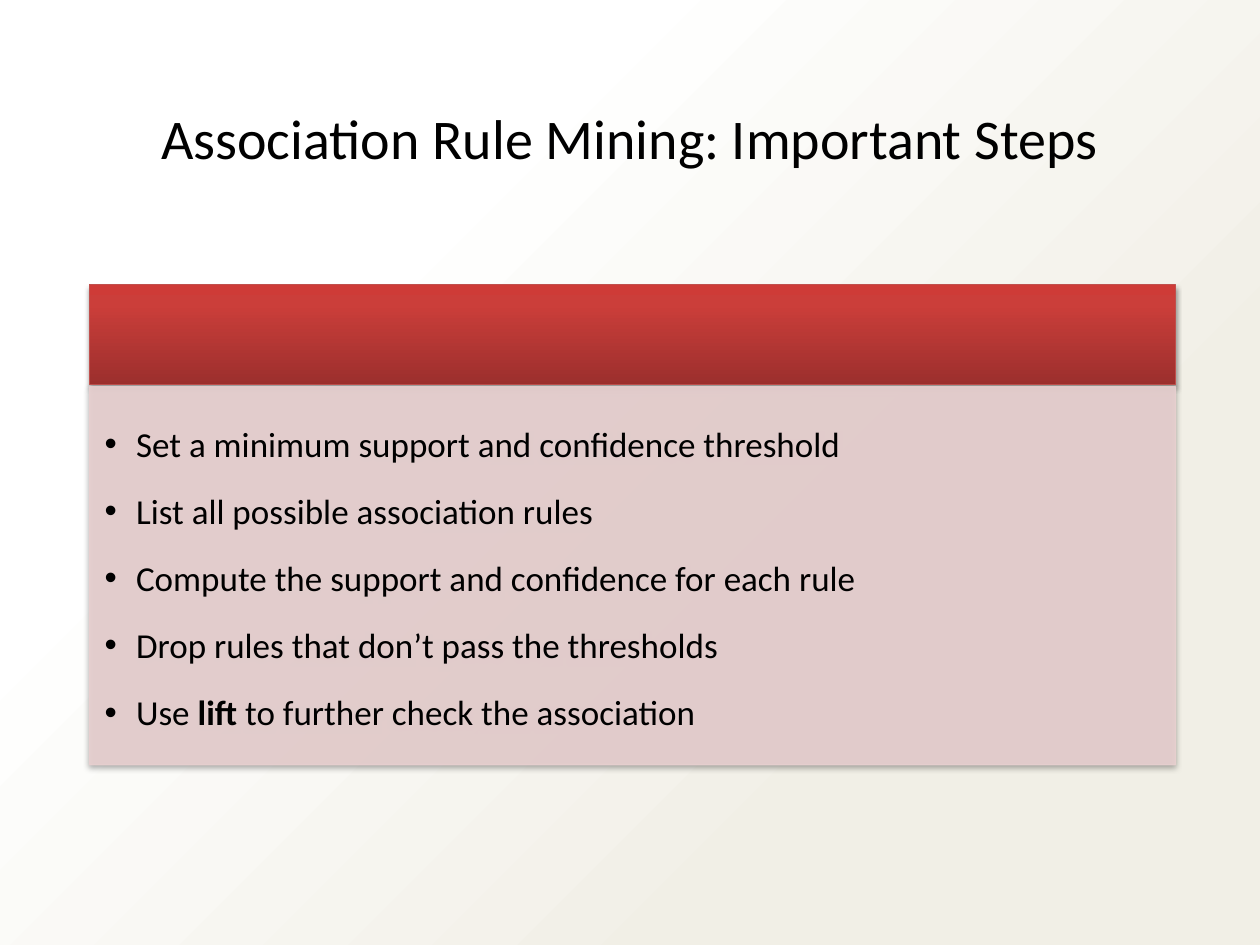
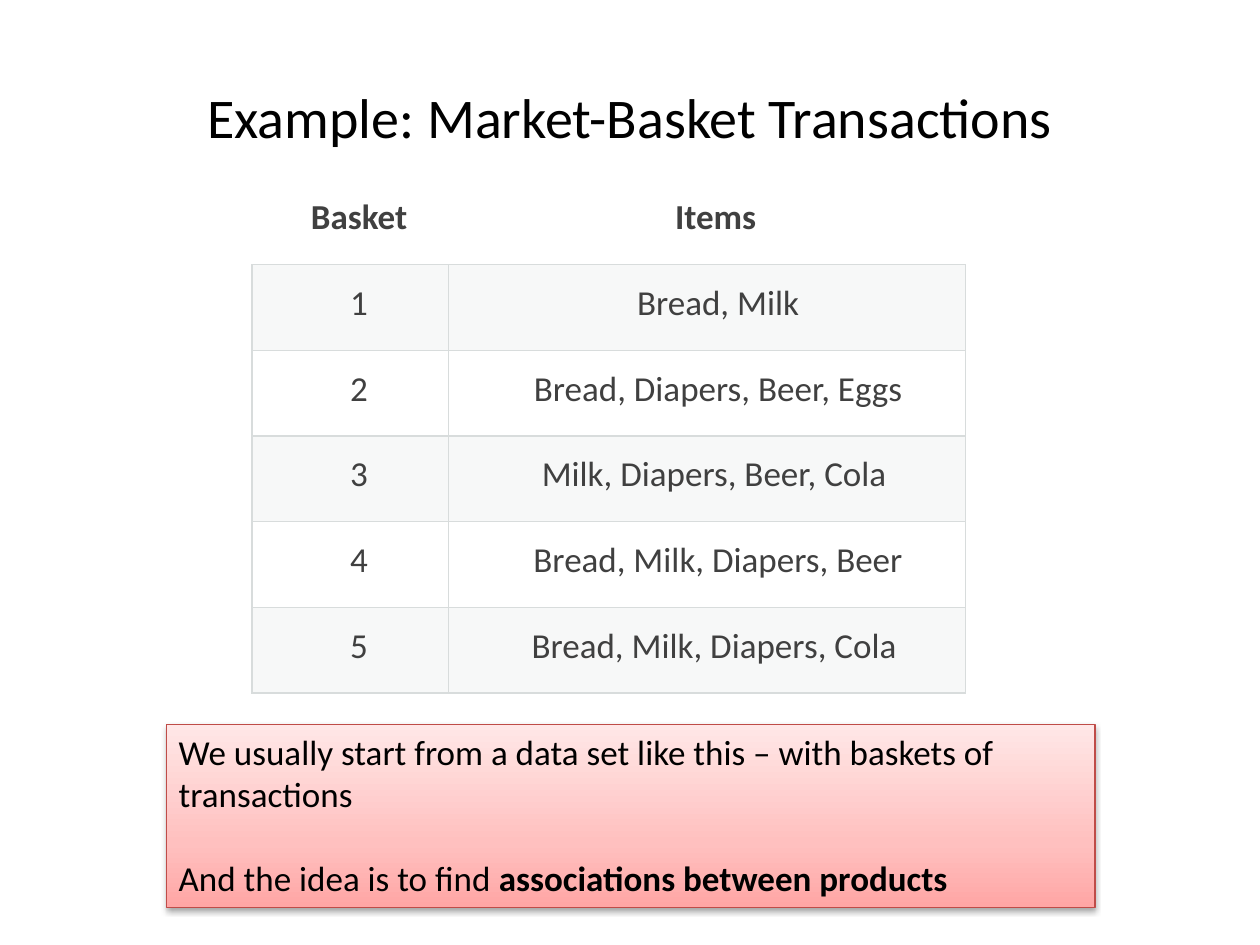
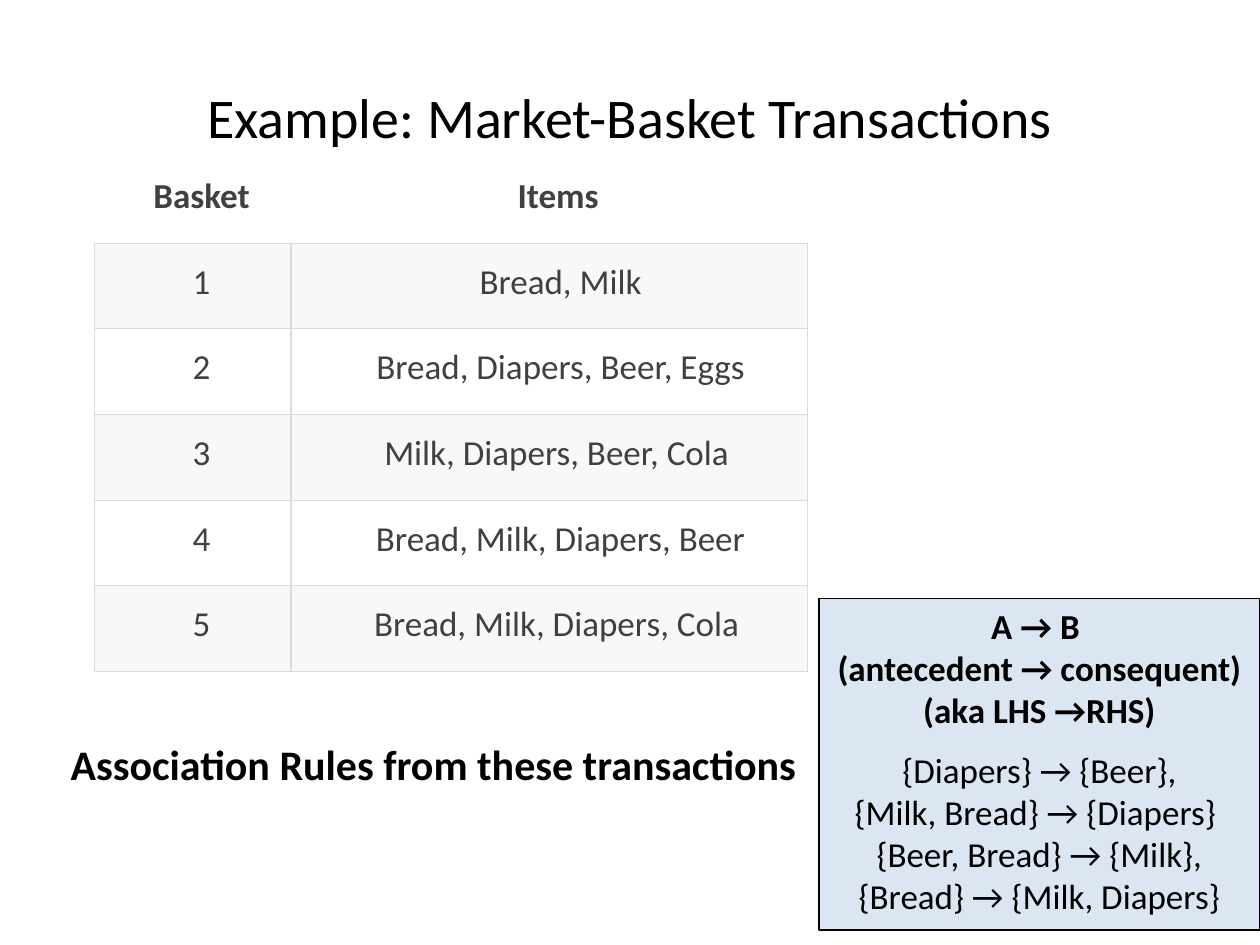
from lxml.etree import SubElement as Sub
from pptx import Presentation
from pptx.dml.color import RGBColor
from pptx.enum.shapes import MSO_SHAPE as Shape
from pptx.enum.text import MSO_ANCHOR as Anchor, PP_ALIGN as Align
from pptx.oxml.ns import qn
from pptx.util import Inches, Pt

FONT = "Calibri"
BLACK, GREY = "000000", "404040"
RED, ROSE, BLUE = "C0504D", "E8D0D0", "DCE6F2"
EDGE, BAND = "D8DCDC", "F7F8F8"
PAPER = [(0, "FFFFFF"), (28, "FFFFFF"), (74, "F1EFE6"), (100, "F1EFE6")]
BAR = [(0, "9C2F2D"), (80, "CB3E3A"), (100, "CE3B37")]
PINK = [(0, "FFA6A5"), (35, "FFC0BF"), (100, "FFE7E7")]

EXAMPLE = "Example: Market-Basket Transactions"
STEPS = [
    "Set a minimum support and confidence threshold",
    "List all possible association rules",
    "Compute the support and confidence for each rule",
    "Drop rules that don’t pass the thresholds",
    "Use **lift** to further check the association",
]
NOTES = [
    "We usually start from a data set like this – with baskets of transactions",
    "And the idea is to find **associations between products**",
]
RULES = [
    "**A → B \v(antecedent → consequent)**",
    "**(aka LHS →RHS)**",
    "{Diapers} → {Beer},\v{Milk, Bread} → {Diapers} \v"
    "{Beer, Bread} → {Milk},\v{Bread} → {Milk, Diapers}",
]
BASKETS = [
    "Bread, Milk",
    "Bread, Diapers, Beer, Eggs",
    "Milk, Diapers, Beer, Cola ",
    "Bread, Milk, Diapers, Beer",
    "Bread, Milk, Diapers, Cola ",
]


def rgb(code):
    return RGBColor.from_string(code)


def box(*sizes):
    return [Inches(size) for size in sizes]


def style(para, size, color=BLACK, bold=None):
    for run in para.runs:
        font = run.font
        font.name, font.size, font.color.rgb = FONT, Pt(size), rgb(color)
        if bold is not None:
            font.bold = bold


def write(frame, lines, size=20, align=Align.LEFT):
    """Fill the frame, one paragraph a line; text between ** is bold."""
    frame.word_wrap = True
    frame.vertical_anchor = Anchor.TOP
    frame.text = "\n" * (len(lines) - 1)
    for para, line in zip(frame.paragraphs, lines):
        para.alignment = align
        for i, part in enumerate(line.split("**")):
            if part:
                start = len(para.runs)
                for j, piece in enumerate(part.split("\v")):
                    if j:
                        para.add_line_break()
                    para.add_run().text = piece
                for run in para.runs[start:]:
                    run.font.bold = i % 2 == 1
        style(para, size)


def blend(shape, stops, angle):
    shape.fill.gradient()
    shape.fill.gradient_angle = angle
    ramp = shape.element.spPr.find(qn("a:gradFill")).find(qn("a:gsLst"))
    for old in list(ramp):
        ramp.remove(old)
    for pos, color in stops:
        stop = Sub(ramp, qn("a:gs"), pos=str(pos * 1000))
        Sub(stop, qn("a:srgbClr"), val=color)


def shade(shape):
    """Give the shape a soft shadow below it."""
    effect = shape.element.spPr.find(qn("a:effectLst"))
    cast = Sub(effect, qn("a:outerShdw"), blurRad=str(Pt(3.1)),
               dist=str(Pt(1.8)), dir="5400000", rotWithShape="0")
    color = Sub(cast, qn("a:srgbClr"), val=BLACK)
    Sub(color, qn("a:alpha"), val="35000")


def rect(slide, place, fill, line=None, width=0.75, angle=90):
    shape = slide.shapes.add_shape(Shape.RECTANGLE, *box(*place))
    shape.shadow.inherit = False
    if isinstance(fill, list):
        blend(shape, fill, angle)
    else:
        shape.fill.solid()
        shape.fill.fore_color.rgb = rgb(fill)
    if line:
        shape.line.color.rgb = rgb(line)
        shape.line.width = Pt(width)
    else:
        shape.line.fill.background()
    return shape


def fade(shape, percent):
    for color in shape.element.spPr.iter(qn("a:srgbClr")):
        Sub(color, qn("a:alpha"), val=str(percent * 1000))


def bullet(para):
    props = para._p.get_or_add_pPr()
    props.set("marL", str(Inches(0.25)))
    props.set("indent", str(Inches(-0.25)))
    Sub(props, qn("a:buFont"), typeface="Arial")
    Sub(props, qn("a:buChar"), char="•")


def add_slide(deck, text, place=(0.5, 0.3, 9, 1.25)):
    slide = deck.slides.add_slide(deck.slide_layouts[5])
    title = slide.shapes.title
    title.left, title.top, title.width, title.height = box(*place)
    title.text_frame.text = text
    title.text_frame.vertical_anchor = Anchor.MIDDLE
    para = title.text_frame.paragraphs[0]
    para.alignment = Align.CENTER
    style(para, 32)
    return slide


def border(cell, sides):
    props = cell._tc.get_or_add_tcPr()
    for i, side in enumerate(sides):
        line = props.makeelement(qn("a:ln" + side), {"w": str(Pt(0.75))})
        fill = Sub(line, qn("a:solidFill"))
        Sub(fill, qn("a:srgbClr"), val=EDGE)
        props.insert(i, line)


def add_baskets(slide, left, top):
    rows = [("Basket", "Items")]
    rows += [(str(i), items) for i, items in enumerate(BASKETS, 1)]
    place = box(left, top, 5.66, 0.68 * len(rows))
    table = slide.shapes.add_table(len(rows), 2, *place).table
    table.first_row = table.horz_banding = False
    for col, width in zip(table.columns, box(1.56, 4.1)):
        col.width = width
    for r, row in enumerate(rows):
        table.rows[r].height = Inches(0.68)
        for c, text in enumerate(row):
            cell = table.cell(r, c)
            cell.text_frame.text = text
            cell.margin_left = Inches(0.28)
            cell.margin_top = cell.margin_bottom = Inches(0.14)
            cell.margin_right = Inches(0.1 if r and c else 0.14)
            para = cell.text_frame.paragraphs[0]
            para.alignment = Align.CENTER
            style(para, 20, GREY, r == 0)
            if r % 2:
                cell.fill.solid()
                cell.fill.fore_color.rgb = rgb(BAND)
            else:
                cell.fill.background()
            border(cell, "LRTB" if r else "B")


def add_steps(deck):
    slide = add_slide(deck, "Association Rule Mining: Important Steps",
                      (0.69, 0.4, 8.62, 1.45))
    title = slide.shapes.title
    title.text_frame.paragraphs[0].line_spacing = 0.9
    paper = rect(slide, (0, 0, 10, 7.5), PAPER, angle=315)
    title.element.addprevious(paper.element)
    shade(rect(slide, (0.71, 2.26, 8.62, 0.79), BAR, RED))
    panel = rect(slide, (0.71, 3.07, 8.62, 3), ROSE, ROSE)
    fade(panel, 90)
    shade(panel)
    frame = panel.text_frame
    write(frame, STEPS)
    frame.margin_left = frame.margin_top = Inches(0.12)
    frame.margin_right, frame.margin_bottom = box(0.16, 0.17)
    for para in frame.paragraphs:
        para.line_spacing = 1.5
        para.space_after = Pt(2.3)
        bullet(para)


def add_data(deck):
    slide = add_slide(deck, EXAMPLE)
    note = rect(slide, (1.32, 5.75, 7.37, 1.45), PINK, "BF4C48")
    shade(note)
    write(note.text_frame, NOTES)
    note.text_frame.paragraphs[1].space_before = Pt(24)
    add_baskets(slide, 2, 1.42)


def add_rules(deck):
    slide = add_slide(deck, EXAMPLE)
    label = slide.shapes.add_textbox(*box(0.42, 5.81, 6, 0.5))
    write(label.text_frame, ["**Association Rules from these transactions**"],
          24, Align.RIGHT)
    panel = rect(slide, (6.5, 4.75, 3.5, 2.63), BLUE, BLACK, 1)
    write(panel.text_frame, RULES, align=Align.CENTER)
    panel.text_frame.paragraphs[2].space_before = Pt(10)
    add_baskets(slide, 0.75, 1.25)


def main():
    deck = Presentation()
    deck.slide_width, deck.slide_height = box(10, 7.5)
    add_steps(deck)
    add_data(deck)
    add_rules(deck)
    deck.save("out.pptx")


if __name__ == "__main__":
    main()
